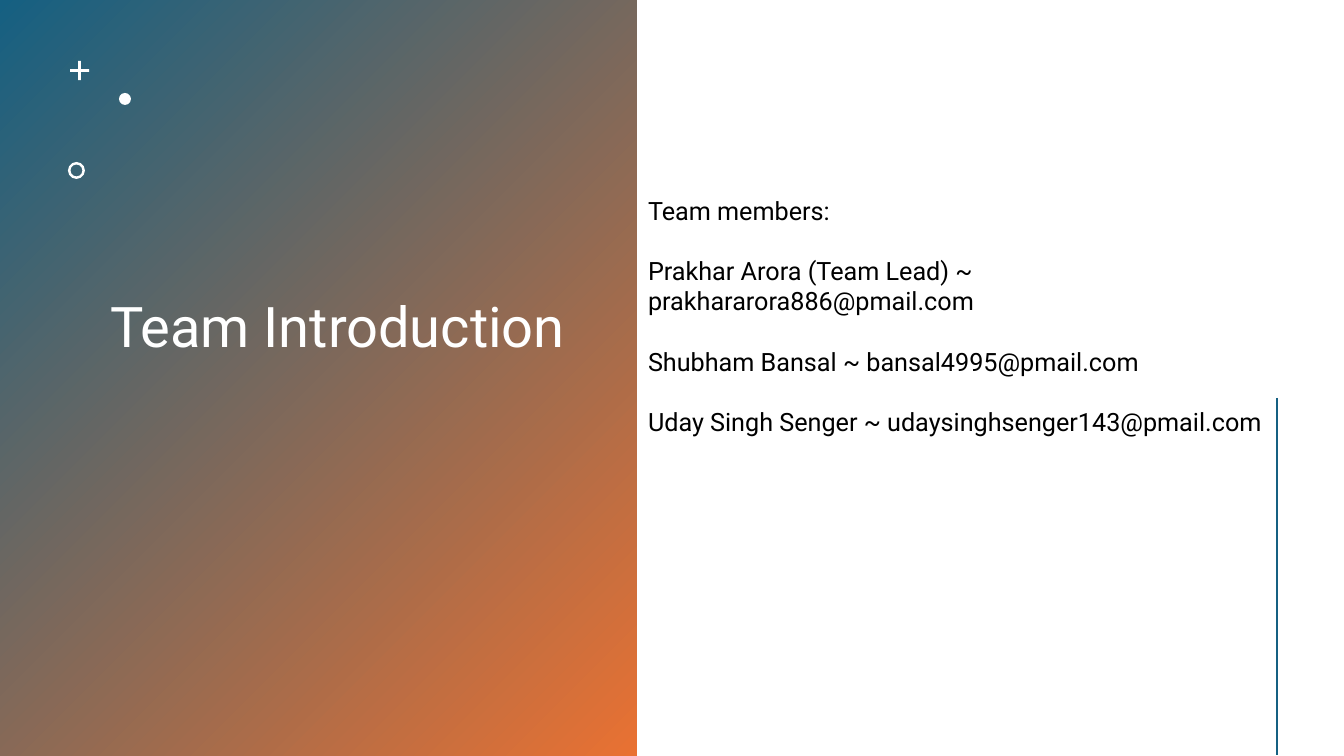
from lxml import etree
from pptx import Presentation
from pptx import util as u
from pptx.dml.color import RGBColor
from pptx.enum import shapes, text
from pptx.oxml.ns import qn

EMU_PER_INCH = 914400
PX_PER_INCH = 100.8
COLORS = {"blue": "156082", "orange": "E97132", "white": "FFFFFF", "black": "000000"}
TEAM_LINES = [
    "Team members:",
    "Prakhar Arora (Team Lead) ~ prakhararora886@pmail.com",
    "Shubham Bansal ~ bansal4995@pmail.com",
    "Uday Singh Senger ~ udaysinghsenger143@pmail.com",
]


def px(length):
    """Turn pixels into EMU."""
    return u.Emu(round(length * EMU_PER_INCH / PX_PER_INCH))


def color(name):
    return RGBColor.from_string(COLORS[name])


class SlideBuilder:
    """Holds the font and the current slide, and adds elements to it."""

    def __init__(self, slide, font):
        self.slide = slide
        self.font = font

    def preset(self, kind, box, fill="white", adjustment=None):
        shape = self.slide.shapes.add_shape(kind, *map(px, box))
        shape.shadow.inherit = False
        shape.line.fill.background()
        shape.fill.solid()
        shape.fill.fore_color.rgb = color(fill)
        if adjustment is not None:
            shape.adjustments[0] = adjustment
        return shape

    def gradient_panel(self, box, start, end, angle):
        panel = self.preset(shapes.MSO_SHAPE.RECTANGLE, box)
        panel.fill.gradient()
        panel.fill.gradient_angle = angle
        for stop, name in zip(panel.fill.gradient_stops, (start, end)):
            stop.color.rgb = color(name)

    def line(self, start, end, name, width):
        connector = self.slide.shapes.add_connector(
            shapes.MSO_CONNECTOR.STRAIGHT, *map(px, start + end))
        connector.line.color.rgb = color(name)
        connector.line.width = u.Pt(width)
        etree.SubElement(connector._element.spPr, qn("a:effectLst"))

    def text(self, box, lines, size, name, anchor=text.MSO_ANCHOR.TOP,
             indent=10, line_spacing=1.0, gap=0):
        frame = self.slide.shapes.add_textbox(*map(px, box)).text_frame
        frame.word_wrap = True
        frame.vertical_anchor = anchor
        frame.margin_left = px(indent)
        frame.text = "\n".join(lines)
        for paragraph in frame.paragraphs:
            paragraph.line_spacing = line_spacing
            paragraph.space_after = u.Pt(gap)
            for run in paragraph.runs:
                run.font.name = self.font
                run.font.size = u.Pt(size)
                run.font.color.rgb = color(name)


def main():
    presentation = Presentation()
    presentation.slide_width = px(1344)
    presentation.slide_height = px(756)
    slide = presentation.slides.add_slide(presentation.slide_layouts[6])
    builder = SlideBuilder(slide, "Roboto")

    builder.gradient_panel((0, 0, 637, 756), "blue", "orange", 315)
    builder.text((-1, 0, 672, 658), ["Team Introduction"], 40, "white",
                 anchor=text.MSO_ANCHOR.MIDDLE, indent=111, line_spacing=0.9)

    builder.preset(shapes.MSO_SHAPE.CROSS, (70, 61, 19, 19), adjustment=0.43)
    builder.preset(shapes.MSO_SHAPE.OVAL, (119, 93, 12, 12))
    builder.preset(shapes.MSO_SHAPE.DONUT, (68, 162, 17, 17), adjustment=0.15)

    builder.line((1277, 398), (1277, 755), "blue", 2)
    builder.text((638, 190, 650, 224), TEAM_LINES, 18, "black", gap=21.6)
    presentation.save("out.pptx")


if __name__ == "__main__":
    main()
